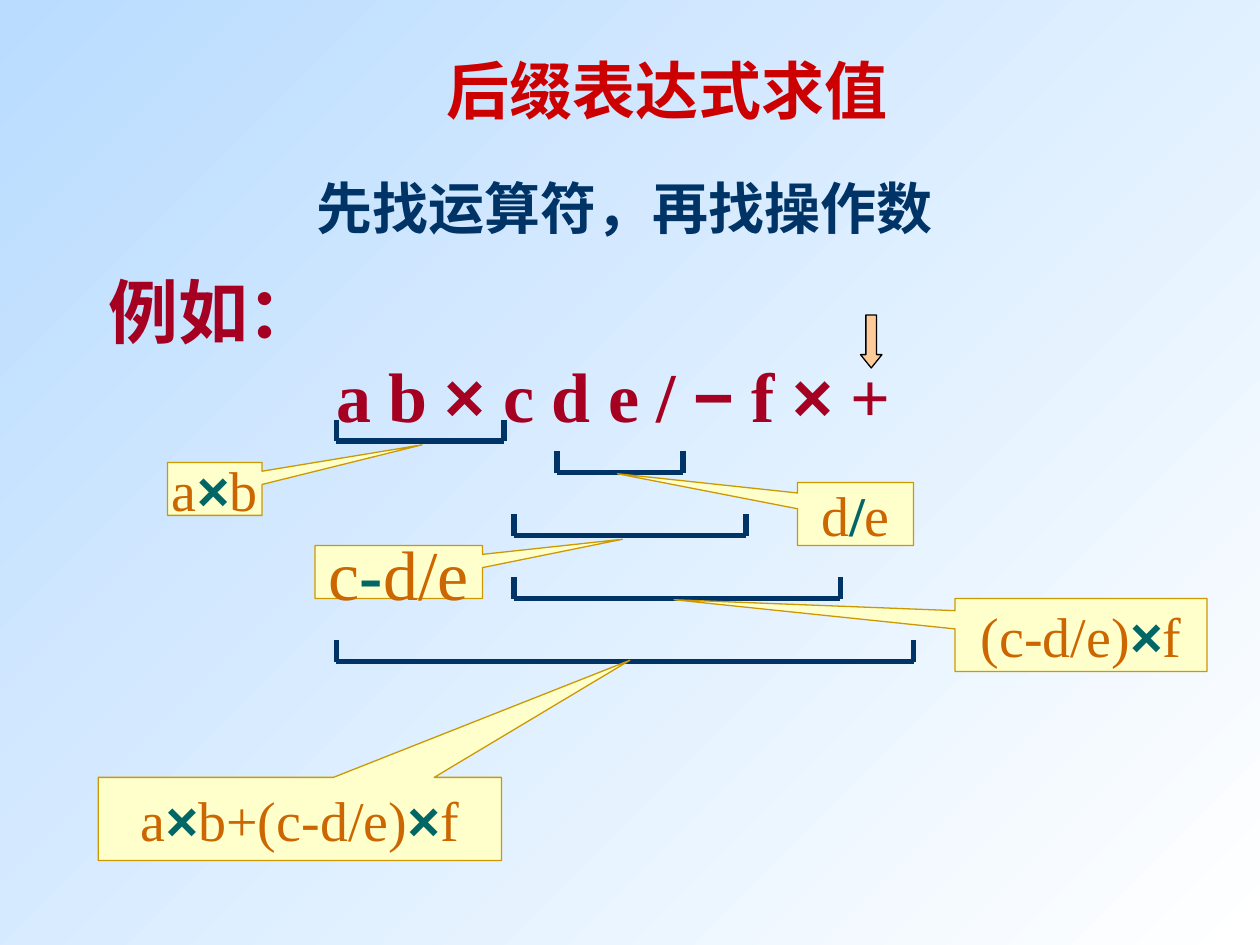
from dataclasses import dataclass

import lxml.etree
import pptx
import pptx.dml.color
import pptx.enum.shapes
import pptx.enum.text
import pptx.oxml.ns
import pptx.util
from pptx.util import Inches

COLORS = {
    "sky": "B9DCFF", "white": "FFFFFF", "title": "CC0000", "navy": "003366",
    "crimson": "A50021", "operand": "CC6600", "operator": "006666",
    "note": "FFFFCC", "note_edge": "CC9900", "arrow": "FFCC99", "black": "000000",
}
LATIN, CJK, SYMBOL = "Times New Roman", "Noto Sans CJK SC", "Arial"
ANCHOR = pptx.enum.text.MSO_ANCHOR
ALIGN = pptx.enum.text.PP_ALIGN
SHAPE = pptx.enum.shapes.MSO_SHAPE
TICK = 0.17


@dataclass
class Bracket:
    left: float
    right: float
    bottom: float


@dataclass
class Callout:
    """A result box; pieces alternate between operand and operator."""
    left: float
    top: float
    width: float
    height: float
    tip_x: float
    tip_y: float
    pieces: tuple[str, ...]
    size: int = 32


BRACKETS = [
    Bracket(2.67, 4, 3.5),
    Bracket(4.42, 5.42, 3.75),
    Bracket(4.08, 5.92, 4.25),
    Bracket(4.08, 6.67, 4.75),
    Bracket(2.67, 7.25, 5.25),
]
CALLOUTS = [
    Callout(1.33, 3.67, 0.75, 0.42, 3.35, 3.53, ("a", "×", "b")),
    Callout(6.33, 3.83, 0.92, 0.5, 4.9, 3.76, ("d", "/", "e")),
    Callout(2.5, 4.33, 1.33, 0.42, 4.94, 4.28, ("c", "-", "d/e"), 40),
    Callout(7.58, 4.75, 2, 0.58, 5.35, 4.76, ("(c-d/e)", "×", "f")),
    Callout(0.78, 6.17, 3.2, 0.66, 5, 5.24, ("a", "×", "b+(c-d/e)", "×", "f")),
]
POSTFIX = ("a b ", "×", " c d e / ", "−", " f ", "×", " +")


def rgb(name: str) -> pptx.dml.color.RGBColor:
    return pptx.dml.color.RGBColor.from_string(COLORS[name])


def style(paragraph, size: int, color: str, bold: bool, latin: str = LATIN) -> None:
    font = paragraph.font
    font.size, font.bold, font.name = pptx.util.Pt(size), bold, latin
    font.color.rgb = rgb(color)
    defaults = paragraph._p.get_or_add_pPr().get_or_add_defRPr()
    lxml.etree.SubElement(defaults, pptx.oxml.ns.qn("a:ea")).set("typeface", CJK)


def add_pieces(paragraph, pieces: tuple[str, ...]) -> list:
    """Add one run per piece and return the runs that hold operators."""
    runs = []
    for piece in pieces:
        run = paragraph.add_run()
        run.text = piece
        if piece in ("×", "−"):
            run.font.name = SYMBOL
        runs.append(run)
    return runs[1::2]


def add_text_box(slide, left: float, top: float, width: float, height: float,
                 anchor=ANCHOR.TOP):
    box = slide.shapes.add_textbox(Inches(left), Inches(top), Inches(width), Inches(height))
    frame = box.text_frame
    frame.word_wrap, frame.vertical_anchor = True, anchor
    return frame


def add_heading(frame, text: str, size: int, color: str, latin: str = LATIN) -> None:
    heading = frame.paragraphs[0]
    heading.text, heading.alignment = text, ALIGN.CENTER
    style(heading, size, color, True, latin)


def add_example(slide) -> None:
    frame = add_text_box(slide, 0.76, 2.08, 6.5, 1.44)
    label, expression = frame.paragraphs[0], frame.add_paragraph()
    label.text = "例如："
    add_pieces(expression, POSTFIX)
    properties = expression._p.get_or_add_pPr()
    properties.set("marL", str(Inches(1.81)))
    properties.set("indent", "0")
    for paragraph in (label, expression):
        style(paragraph, 40, "crimson", True)


def add_line(slide, x1: float, y1: float, x2: float, y2: float) -> None:
    line = slide.shapes.add_connector(
        pptx.enum.shapes.MSO_CONNECTOR.STRAIGHT,
        Inches(x1), Inches(y1), Inches(x2), Inches(y2))
    line.line.color.rgb = rgb("navy")
    line.line.width = pptx.util.Pt(3)
    lxml.etree.SubElement(line._element.spPr, pptx.oxml.ns.qn("a:effectLst"))


def add_bracket(slide, bracket: Bracket) -> None:
    add_line(slide, bracket.left, bracket.bottom, bracket.right, bracket.bottom)
    for x in (bracket.left, bracket.right):
        add_line(slide, x, bracket.bottom - TICK, x, bracket.bottom)


def add_filled_shape(slide, kind, left: float, top: float, width: float,
                     height: float, fill: str, edge: str):
    shape = slide.shapes.add_shape(
        kind, Inches(left), Inches(top), Inches(width), Inches(height))
    shape.shadow.inherit = False
    shape.fill.solid()
    shape.fill.fore_color.rgb = rgb(fill)
    shape.line.color.rgb = rgb(edge)
    shape.line.width = pptx.util.Pt(0.75)
    return shape


def add_callout(slide, callout: Callout) -> None:
    shape = add_filled_shape(
        slide, SHAPE.RECTANGULAR_CALLOUT, callout.left, callout.top,
        callout.width, callout.height, "note", "note_edge")
    shape.adjustments[0] = (callout.tip_x - callout.left) / callout.width - 0.5
    shape.adjustments[1] = (callout.tip_y - callout.top) / callout.height - 0.5
    frame = shape.text_frame
    frame.word_wrap, frame.vertical_anchor = False, ANCHOR.MIDDLE
    result = frame.paragraphs[0]
    result.alignment = ALIGN.CENTER
    style(result, callout.size, "operand", False)
    for operator in add_pieces(result, callout.pieces):
        operator.font.bold = True
        operator.font.color.rgb = rgb("operator")


def paint_background(slide) -> None:
    fill = slide.background.fill
    fill.gradient()
    fill.gradient_angle = 315
    for stop, position, color in zip(fill.gradient_stops, (0, 1), ("sky", "white")):
        stop.position = position
        stop.color.rgb = rgb(color)


def main() -> None:
    deck = pptx.Presentation()
    deck.slide_width, deck.slide_height = Inches(10), Inches(7.5)
    slide = deck.slides.add_slide(deck.slide_layouts[6])
    paint_background(slide)
    add_heading(add_text_box(slide, 0.75, 0.33, 9.09, 0.75, ANCHOR.MIDDLE),
                "后缀表达式求值", 36, "title", CJK)
    add_heading(add_text_box(slide, 0.67, 1.33, 8.58, 0.83),
                "先找运算符，再找操作数", 32, "navy")
    add_example(slide)
    for bracket in BRACKETS:
        add_bracket(slide, bracket)
    for callout in CALLOUTS:
        add_callout(slide, callout)
    current_operator = add_filled_shape(
        slide, SHAPE.DOWN_ARROW, 6.83, 2.5, 0.17, 0.42, "arrow", "black")
    current_operator.adjustments[1] = 0.62
    deck.save("out.pptx")


if __name__ == "__main__":
    main()
